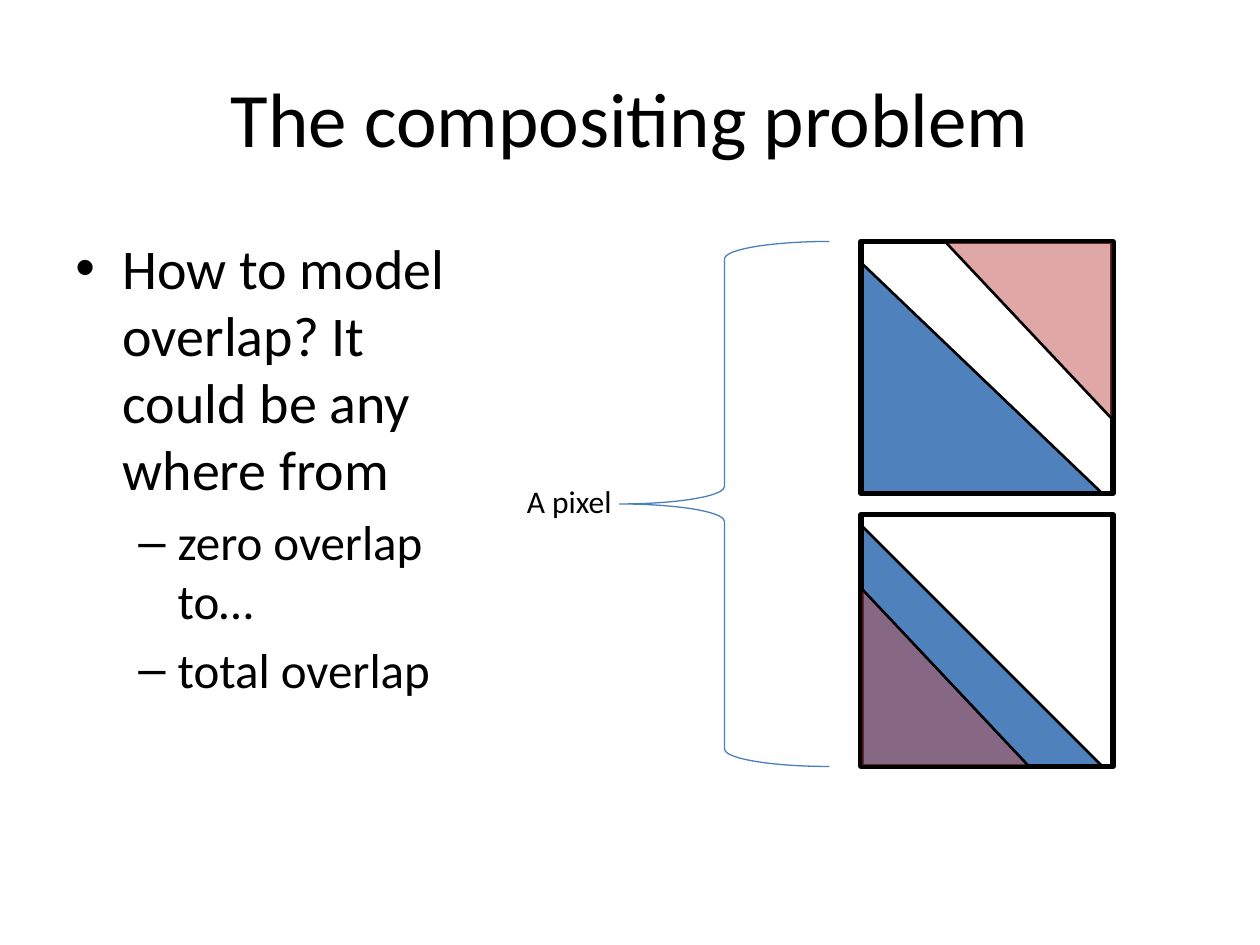
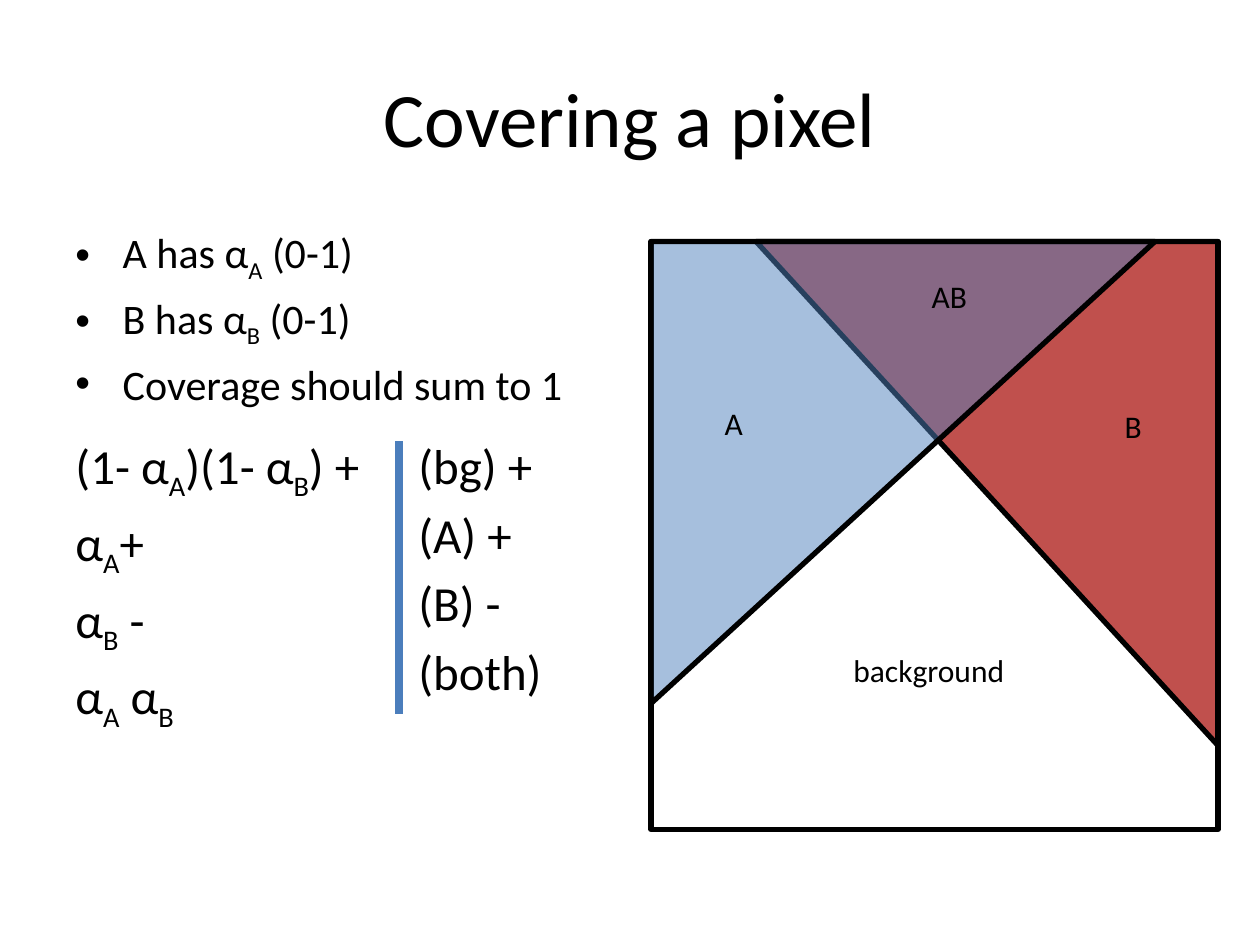
from lxml.etree import SubElement
from pptx import Presentation
from pptx.dml.color import RGBColor
from pptx.enum.shapes import MSO_CONNECTOR, MSO_SHAPE
from pptx.enum.text import PP_ALIGN
from pptx.oxml.ns import qn
from pptx.util import Pt

HUES = {"ink": "000000", "blue": "4F81BD", "red": "C0504D", "rule": "4B7EBC"}
FACE = "Calibri"
TITLES = ["The compositing problem", "Covering a pixel"]
BULLETS = {0: ("•", 27, -27), 1: ("–", 58.5, -22.5)}

MODEL = [
    (0, 32, "How to model overlap? It could be any where from"),
    (1, 28, "zero overlap to…"),
    (1, 28, "total overlap"),
]
COVER = [
    (0, 24, "A has α_A (0-1)"),
    (0, 24, "B has α_B (0-1)"),
    (0, 24, "Coverage should sum to 1"),
]
TERMS = ["(1- α_A)(1- α_B) +", "α_A+", "α_B -", "α_A α_B"]
PARTS = ["(bg) +", "(A) +", "(B) -", "(both)"]
LABELS = [
    ("background", 480, 368.5, 101.5, PP_ALIGN.CENTER),
    ("A", 407, 227.5, 25, PP_ALIGN.LEFT),
    ("B", 635, 229, 24.5, PP_ALIGN.RIGHT),
    ("AB", 525, 155, 35, PP_ALIGN.CENTER),
]

LEFT, TOP = 36, 138
SIDE, GAP = 144, 12
CELL_X = 492
LOW = TOP + SIDE + GAP


def tint(hue):
    return RGBColor.from_string(HUES[hue])


def style(par, size):
    font = par.font
    font.name, font.size = FACE, Pt(size)
    font.color.rgb = tint("ink")


def write(par, text, size):
    style(par, size)
    head, *tails = text.split("_")
    par.add_run().text = head
    for tail in tails:
        sub = par.add_run()
        sub.text = tail[0]
        sub.font._element.set("baseline", "-25000")
        if tail[1:]:
            par.add_run().text = tail[1:]


def add_text(slide, rows, x, y, wide, high, wrap=True, align=PP_ALIGN.LEFT):
    frame = slide.shapes.add_textbox(Pt(x), Pt(y), Pt(wide), Pt(high)).text_frame
    frame.word_wrap = wrap
    for i, (level, size, text) in enumerate(rows):
        par = frame.add_paragraph() if i else frame.paragraphs[0]
        par.alignment = align
        if wrap:
            par.space_before = Pt(size / 5)
        if level is not None:
            mark, margin, indent = BULLETS[level]
            par.level = level
            props = par._p.get_or_add_pPr()
            props.set("marL", str(Pt(margin)))
            props.set("indent", str(Pt(indent)))
            SubElement(props, qn("a:buFont")).set("typeface", "Arial")
            SubElement(props, qn("a:buChar")).set("char", mark)
        write(par, text, size)


def add_label(slide, text, x, y, wide, align=PP_ALIGN.LEFT):
    add_text(slide, [(None, 18, text)], x, y, wide, 29, False, align)


def add_form(slide, kind, x, y, wide, high, fill=None, weight=1.5, turn=0,
             clear=False, edge="ink"):
    form = slide.shapes.add_shape(kind, Pt(x), Pt(y), Pt(wide), Pt(high))
    form.shadow.inherit = False
    form.rotation = turn
    form.line.color.rgb = tint(edge)
    form.line.width = Pt(weight)
    if fill is None:
        form.fill.background()
        return
    form.fill.solid()
    form.fill.fore_color.rgb = tint(fill)
    if clear:
        hue = form._element.spPr.find(qn("a:solidFill"))[0]
        SubElement(hue, qn("a:alpha")).set("val", "50000")


def add_wedge(slide, *place, **looks):
    add_form(slide, MSO_SHAPE.RIGHT_TRIANGLE, *place, **looks)


def add_cell(slide, x, y, wide, high):
    add_form(slide, MSO_SHAPE.RECTANGLE, x, y, wide, high, weight=3)


def add_rule(slide, x, start, end):
    rule = slide.shapes.add_connector(
        MSO_CONNECTOR.STRAIGHT, Pt(x), Pt(start), Pt(x), Pt(end))
    rule.line.color.rgb = tint("rule")
    rule.line.width = Pt(4.5)
    SubElement(rule._element.spPr, qn("a:effectLst"))


def add_page(deck, text):
    slide = deck.slides.add_slide(deck.slide_layouts[5])
    title = slide.shapes.title
    title.left, title.top = Pt(LEFT), Pt(21.6)
    title.width, title.height = Pt(648), Pt(90)
    par = title.text_frame.paragraphs[0]
    par.alignment = PP_ALIGN.CENTER
    write(par, text, 44)
    return slide


def draw_problem(slide):
    add_text(slide, MODEL, LEFT, 129.6, 258, 356)
    for y, high in ((TOP, 132), (LOW, 138)):
        add_wedge(slide, CELL_X, y + SIDE - high, 138, high, fill="blue")
        add_cell(slide, CELL_X, y, SIDE, SIDE)
    wide, high = 96, 102
    spots = [(CELL_X + SIDE - wide, TOP, 180), (CELL_X, LOW + SIDE - high, 0)]
    for x, y, turn in spots:
        add_wedge(slide, x, y, wide, high, fill="red", turn=turn, clear=True)
    add_form(slide, MSO_SHAPE.LEFT_BRACE, 354, TOP, 120, 2 * SIDE + GAP,
             weight=0.75, edge="rule")
    add_label(slide, "A pixel", 294, 272, 63.5)


def draw_cover(slide):
    add_text(slide, COVER, LEFT, 126, 312, 120)
    for rows, x, wide in ((TERMS, LEFT, 190), (PARTS, 232, 116)):
        add_text(slide, [(None, 28, row) for row in rows], x, 245.4, wide, 180)
    add_wedge(slide, 432, TOP, 264, 288, fill="red", weight=3, turn=180)
    add_cell(slide, 372, TOP, 324, 336)
    add_wedge(slide, 384, 126, 264, 288, fill="blue", weight=3, turn=90, clear=True)
    for label in LABELS:
        add_label(slide, *label)
    add_rule(slide, 228, 252, 408)


def main():
    deck = Presentation()
    deck.slide_width, deck.slide_height = Pt(720), Pt(540)
    for title, draw in zip(TITLES, (draw_problem, draw_cover)):
        draw(add_page(deck, title))
    deck.save("out.pptx")


if __name__ == "__main__":
    main()
